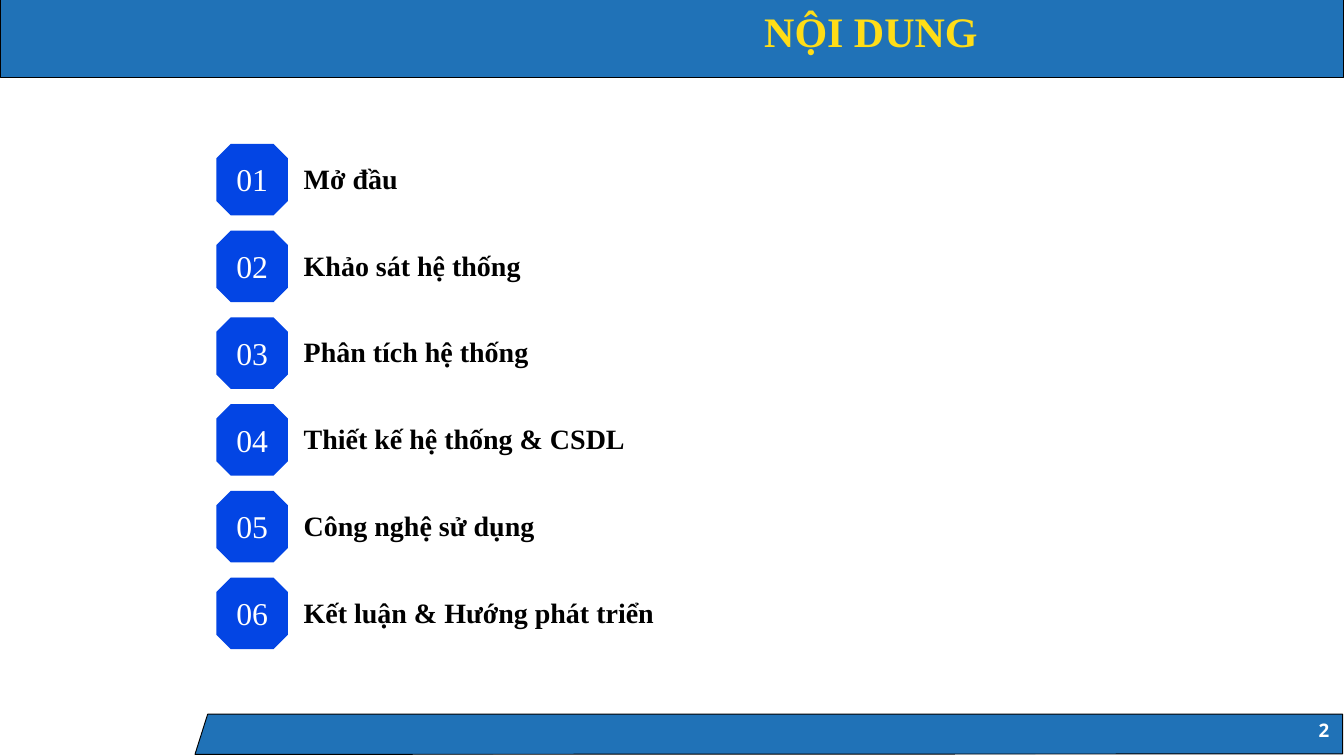
from pptx import Presentation
from pptx.dml.color import RGBColor
from pptx.enum import shapes, text
from pptx.util import Cm, Pt

# Content
TITLE = "NỘI DUNG"
TOPICS = [
    "Mở đầu",
    "Khảo sát hệ thống",
    "Phân tích hệ thống",
    "Thiết kế hệ thống & CSDL",
    "Công nghệ sử dụng",
    "Kết luận & Hướng phát triển",
]
PAGE = "2"

COLORS = {"band": "2072B7", "badge": "0345E4", "title": "FFDD17",
          "white": "FFFFFF", "black": "000000"}
SERIF, SANS = "Times New Roman", "Noto Sans"
LEFT, MID = text.PP_ALIGN.LEFT, text.PP_ALIGN.CENTER

# Layout in centimetres
WIDTH, HEIGHT = 50.8, 28.58
TOP, STEP, SIDE = 5.44, 3.28, 2.7
BADGE_X, LABEL_X = 8.18, 11.48
FOOTER = [(7.85, 27), (50.75, 27), (50.75, 28.5), (7.37, 28.52)]


def rgb(name):
    return RGBColor.from_string(COLORS[name])


def paint(shape, fill, line=None):
    shape.shadow.inherit = False
    shape.fill.solid()
    shape.fill.fore_color.rgb = rgb(fill)
    if line:
        shape.line.color.rgb = rgb(line)
        shape.line.width = Pt(1)
    else:
        shape.line.fill.background()


def write(shape, words, size, lead, color, font=SERIF, bold=True,
          align=LEFT, anchor=text.MSO_ANCHOR.TOP, wrap=True):
    frame = shape.text_frame
    frame.word_wrap = wrap
    frame.auto_size = text.MSO_AUTO_SIZE.NONE
    frame.vertical_anchor = anchor
    frame.margin_left = frame.margin_right = 0
    frame.margin_top = frame.margin_bottom = 0
    frame.text = words
    para = frame.paragraphs[0]
    para.alignment = align
    para.line_spacing = Pt(lead)
    para.space_before = Pt(0)
    para.font.name, para.font.size, para.font.bold = font, Pt(size), bold
    para.font.color.rgb = rgb(color)


deck = Presentation()
deck.slide_width, deck.slide_height = Cm(WIDTH), Cm(HEIGHT)
slide = deck.slides.add_slide(deck.slide_layouts[5])
parts = slide.shapes

# Header and footer bands
header = parts.add_shape(shapes.MSO_SHAPE.RECTANGLE,
                         Cm(0), Cm(-0.03), Cm(WIDTH), Cm(2.97))
paint(header, "band", "black")
points = [(Cm(x), Cm(y)) for x, y in FOOTER]
path = parts.build_freeform(*points[0])
path.add_line_segments(points[1:], close=True)
paint(path.convert_to_shape(), "band", "black")

# Title, raised above the header band
title = parts.title
title.left, title.top = Cm(15.29), Cm(-0.38)
title.width, title.height = Cm(35.26), Cm(3.18)
write(title, TITLE, 45, 70.2, "title", align=MID)
header._element.getparent().append(title._element)

# Numbered topics
for i, topic in enumerate(TOPICS):
    y = TOP + i * STEP
    badge = parts.add_shape(shapes.MSO_SHAPE.OCTAGON,
                            Cm(BADGE_X), Cm(y), Cm(SIDE), Cm(SIDE))
    badge.adjustments[0] = 0.2
    paint(badge, "badge")
    write(badge, f"{i + 1:02}", 34, 47.6, "white", bold=False,
          align=MID, anchor=text.MSO_ANCHOR.MIDDLE)
    badge.text_frame.margin_bottom = Cm(0.28)
    label = parts.add_textbox(Cm(LABEL_X), Cm(y + 0.45), Cm(20.42), Cm(1.5))
    write(label, topic, 30, 42, "black")

# Page number
number = parts.add_textbox(Cm(49.83), Cm(27.03), Cm(0.43), Cm(0.56))
write(number, PAGE, 20, 28, "white", font=SANS, align=MID, wrap=False)

deck.save("out.pptx")
